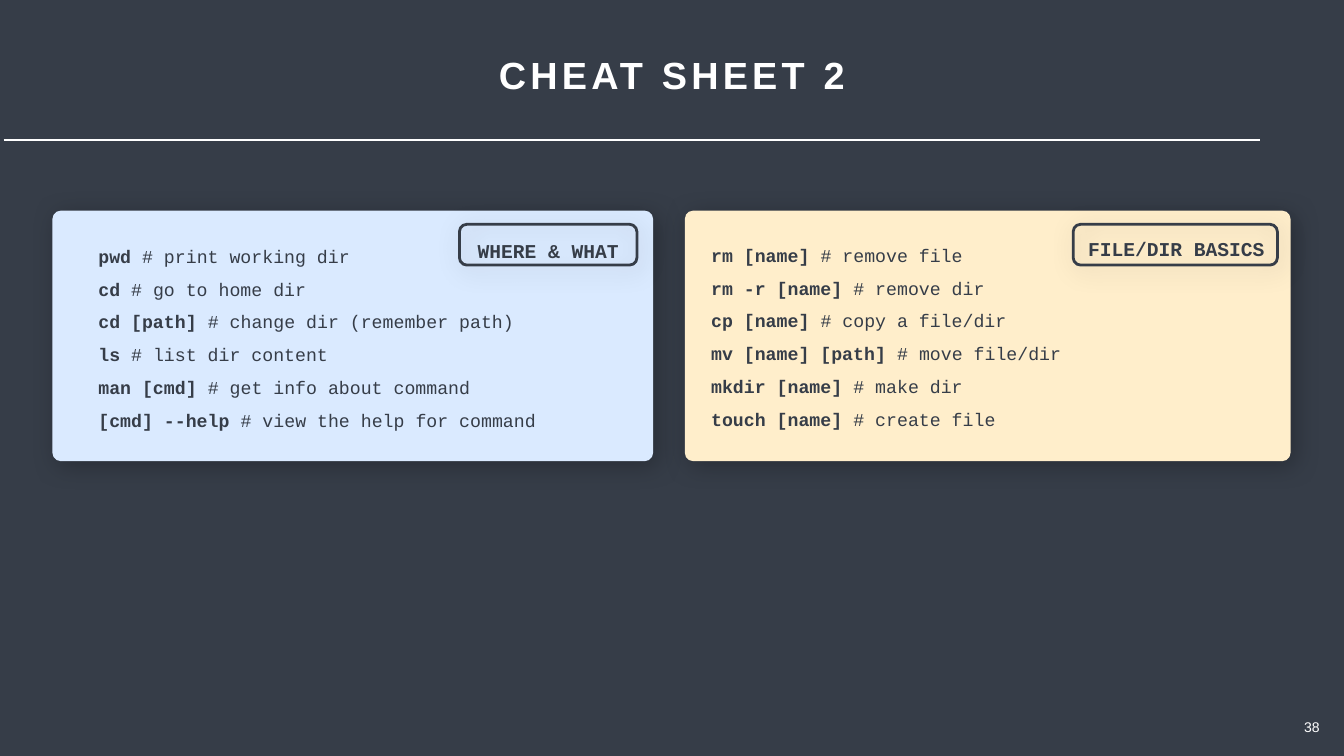
from lxml.etree import SubElement
from pptx import Presentation
from pptx.dml.color import RGBColor
from pptx.enum.shapes import MSO_CONNECTOR, MSO_SHAPE
from pptx.enum.text import MSO_AUTO_SIZE, PP_ALIGN
from pptx.oxml.ns import qn
from pptx.util import Pt

PX = 9144  # EMU per px, 100 px to the inch
DARK = RGBColor(0x36, 0x3D, 0x48)
WHITE = RGBColor(0xFF, 0xFF, 0xFF)
BLUE = RGBColor(0xDA, 0xEA, 0xFF)
CREAM = RGBColor(0xFF, 0xEE, 0xCB)
SANS, MONO = "Arial", "Courier New"

WHERE = [
    ("pwd", "print working dir"),
    ("cd", "go to home dir"),
    ("cd [path]", "change dir (remember path)"),
    ("ls", "list dir content"),
    ("man [cmd]", "get info about command"),
    ("[cmd] --help", "view the help for command"),
]
FILES = [
    ("rm [name]", "remove file"),
    ("rm -r [name]", "remove dir"),
    ("cp [name]", "copy a file/dir"),
    ("mv [name] [path]", "move file/dir"),
    ("mkdir [name]", "make dir"),
    ("touch [name]", "create file"),
]


def scale(box):
    return [n * PX for n in box]


def add_shade(shape):
    """Give the shape a soft shadow to the lower right."""
    shape.shadow.inherit = False
    effects = shape._element.spPr.find(qn("a:effectLst"))
    outer = SubElement(effects, qn("a:outerShdw"), blurRad=str(Pt(36)),
                       dist=str(Pt(8)), dir=str(45 * 60000), rotWithShape="0")
    color = SubElement(outer, qn("a:srgbClr"), val="000000")
    SubElement(color, qn("a:alpha"), val="26000")


def add_panel(slide, box, curve, fill=None, line=None):
    shape = slide.shapes.add_shape(MSO_SHAPE.ROUNDED_RECTANGLE, *scale(box))
    shape.adjustments[0] = curve
    if fill is None:
        shape.fill.background()
    else:
        shape.fill.solid()
        shape.fill.fore_color.rgb = fill
    if line is None:
        shape.line.fill.background()
    else:
        shape.line.color.rgb = line
        shape.line.width = Pt(4)
    add_shade(shape)


def add_frame(slide, box, inset=0, wrap=True):
    frame = slide.shapes.add_textbox(*scale(box)).text_frame
    frame.margin_left = frame.margin_right = inset * PX
    frame.margin_top = frame.margin_bottom = inset * PX
    frame.word_wrap = wrap
    frame.auto_size = MSO_AUTO_SIZE.SHAPE_TO_FIT_TEXT
    return frame


def set_font(para, name, size, color, bold=None):
    font = para.font
    font.name, font.size, font.bold = name, Pt(size), bold
    font.color.rgb = color


def add_label(frame, text, name, size, color, bold=False, lead=None, track=0):
    """Write one centred line."""
    para = frame.paragraphs[0]
    para.alignment = PP_ALIGN.CENTER
    para.line_spacing = lead
    run = para.add_run()
    run.text = text
    if track:
        run._r.get_or_add_rPr().set("spc", str(track * 100))
    set_font(para, name, size, color, bold)


def add_list(slide, box, rows):
    """List commands in bold, each with its comment."""
    frame = add_frame(slide, box)
    for i, (cmd, note) in enumerate(rows):
        para = frame.add_paragraph() if i else frame.paragraphs[0]
        para.line_spacing = 1.5
        for text, bold in ((cmd + " ", True), ("# " + note, False)):
            run = para.add_run()
            run.text = text
            run.font.bold = bold
        set_font(para, MONO, 26, DARK)


def add_card(slide, box, fill, rows, list_box, tag, tag_box, text_box):
    add_panel(slide, box, 0.033, fill=fill)
    add_list(slide, list_box, rows)
    add_panel(slide, tag_box, 0.182, line=DARK)
    add_label(add_frame(slide, text_box), tag, MONO, 28, DARK, True, lead=1.5)


def add_rule(slide, left, right, top):
    rule = slide.shapes.add_connector(
        MSO_CONNECTOR.STRAIGHT, *scale((left, top, right, top)))
    rule.line.color.rgb = WHITE
    rule.line.width = Pt(3)
    SubElement(rule._element.spPr, qn("a:effectLst"))


def main():
    deck = Presentation()
    deck.slide_width, deck.slide_height = scale((2665, 1500))
    slide = deck.slides.add_slide(deck.slide_layouts[6])
    back = slide.background.fill
    back.solid()
    back.fore_color.rgb = DARK

    # Heading
    title = add_frame(slide, (974, 97, 717, 101), 5, wrap=False)
    add_label(title, "CHEAT SHEET 2", SANS, 54, WHITE, True, track=6)
    add_rule(slide, 7, 2498, 278)

    # Command cards
    add_card(slide, (104, 418, 1191, 497), BLUE,
             WHERE, (195, 465, 1009, 417),
             "WHERE & WHAT", (911, 445, 352, 81), (913, 451, 348, 43))
    add_card(slide, (1358, 418, 1201, 497), CREAM,
             FILES, (1410, 463, 1009, 388),
             "FILE/DIR BASICS", (2128, 445, 405, 81), (2139, 447, 387, 43))

    # Page number
    page = add_frame(slide, (2576, 1416, 51, 54), 10, wrap=False)
    add_label(page, "38", SANS, 20, WHITE)

    deck.save("out.pptx")


if __name__ == "__main__":
    main()
